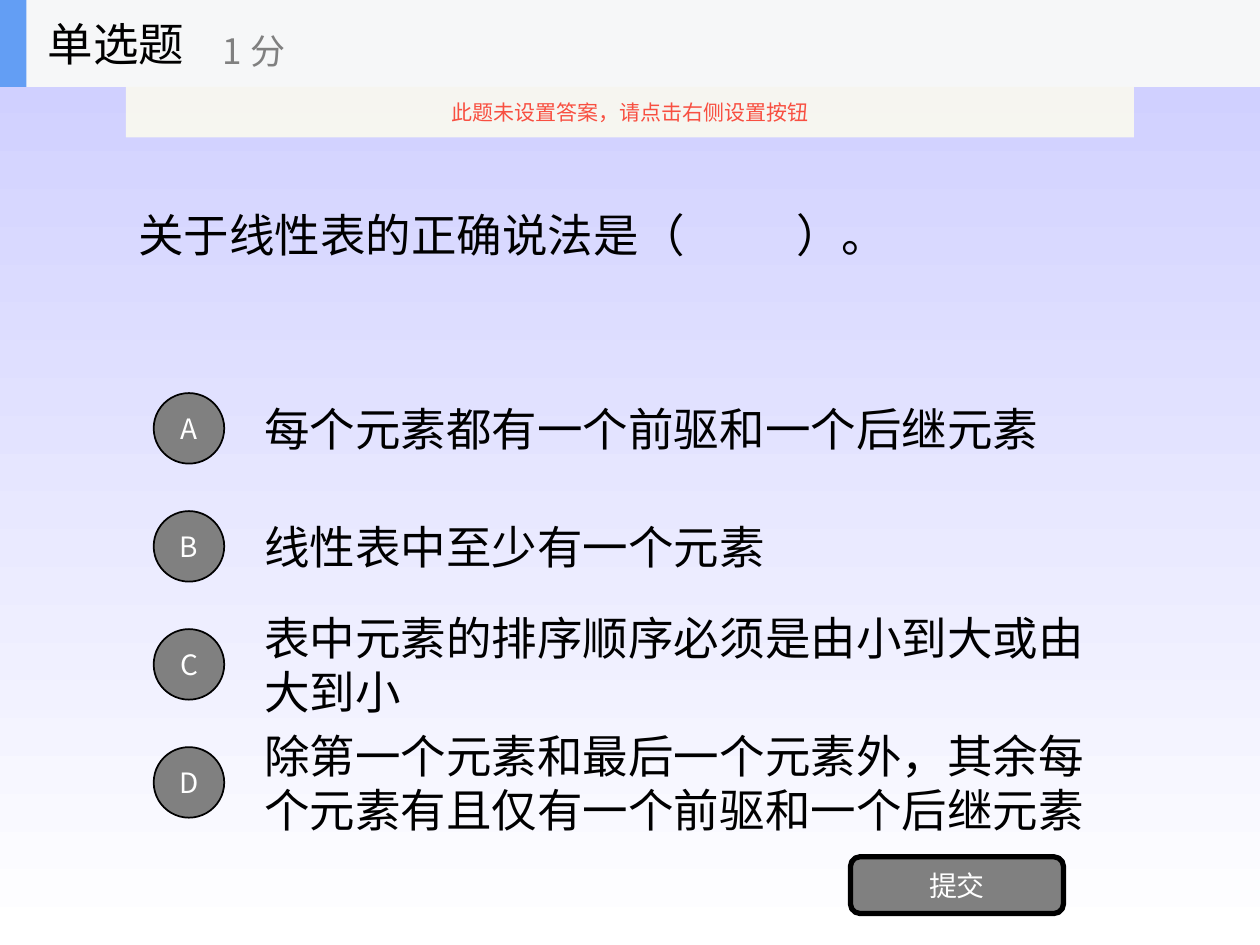
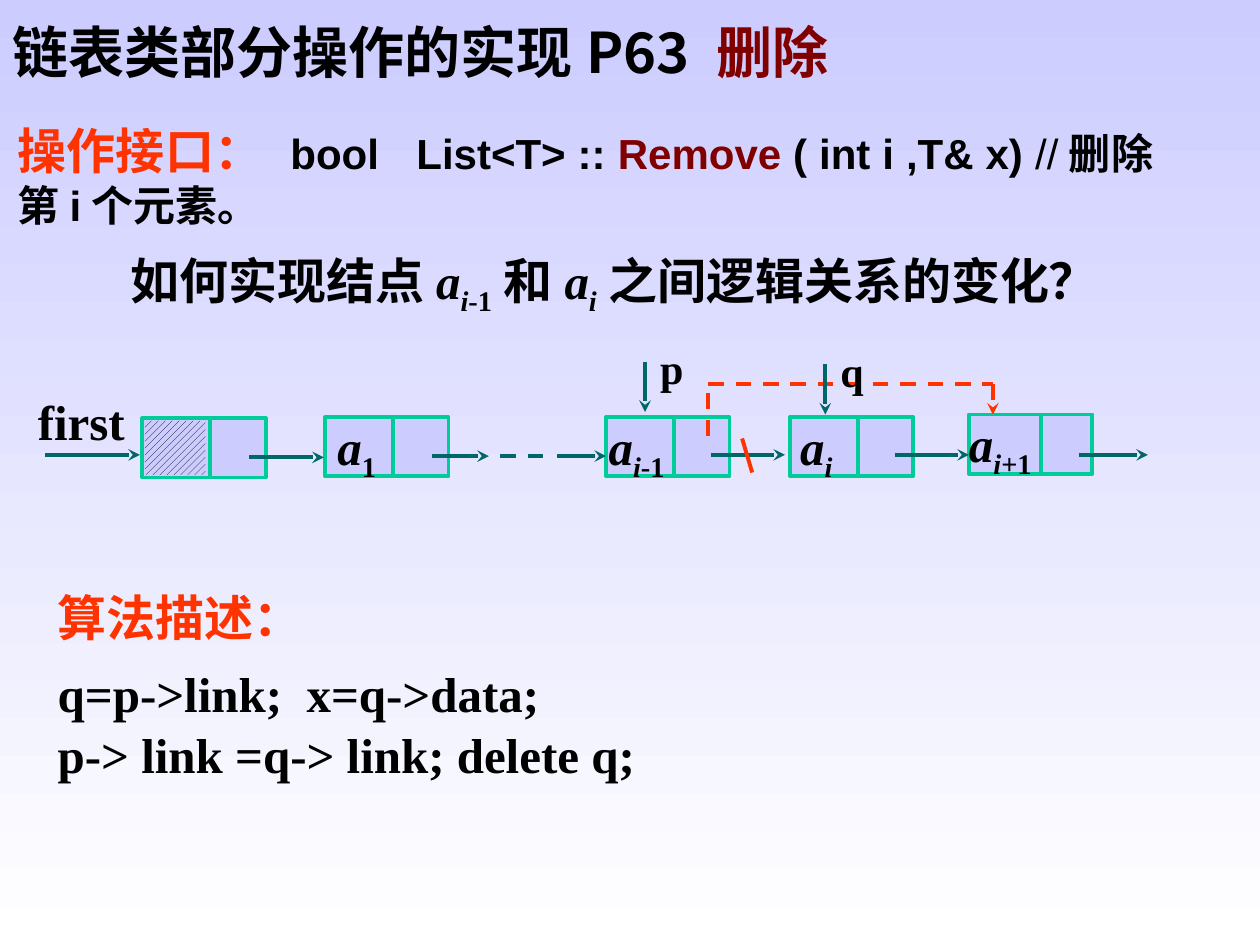
from lxml.etree import SubElement
from pptx import Presentation
from pptx.dml.color import RGBColor
from pptx.enum.dml import MSO_LINE_DASH_STYLE as Dash, MSO_PATTERN_TYPE as Pattern
from pptx.enum.shapes import MSO_CONNECTOR_TYPE as Connector, MSO_SHAPE as Shape
from pptx.enum.text import MSO_ANCHOR as Anchor, MSO_AUTO_SIZE as AutoSize, PP_ALIGN as Align
from pptx.oxml.ns import qn
from pptx.util import Inches, Pt

# Colours and fonts
BLACK = RGBColor(0, 0, 0)
WHITE = RGBColor(0xFF, 0xFF, 0xFF)
GRAY = RGBColor(0x80, 0x80, 0x80)
LAVENDER = RGBColor(0xCC, 0xCC, 0xFF)
HEADER_GRAY = RGBColor(0xF6, 0xF7, 0xF8)
HEADER_BLUE = RGBColor(0x63, 0x9E, 0xF4)
NOTICE_CREAM = RGBColor(0xFB, 0xFA, 0xEF)
NOTICE_RED = RGBColor(0xF8, 0x4F, 0x41)
ORANGE = RGBColor(0xFF, 0x33, 0x00)
MAROON = RGBColor(0x80, 0, 0)
NODE_GREEN = RGBColor(0, 0xCC, 0x99)
ARROW_TEAL = RGBColor(0, 0x66, 0x66)

SANS, SERIF, LATIN = "Noto Sans CJK SC", "Times New Roman", "Arial"

# Text styles
QUIZ = {"name": SANS, "size": Pt(26), "color": BLACK}
BUTTON = {"name": SANS, "size": Pt(16), "color": WHITE}
TITLE = {"name": SANS, "size": Pt(32), "bold": True, "color": BLACK}
BODY = {"name": SERIF, "size": Pt(28), "bold": True, "color": BLACK}
POINTER = {**BODY, "size": Pt(24)}
CODE = {**POINTER, "name": LATIN}
HEADING = {"color": ORANGE}
VARIABLE = {"italic": True}
SUB = {"baseline": -25000}
SUB_VARIABLE = {**VARIABLE, **SUB}
MARGINS = (0.1, 0.05, 0.1, 0.05)

# Linked list measures, in inches
NODE_WIDTH, NODE_HEIGHT = 0.98, 0.47
LINE_WIDTH = 2.25


def new_slide(presentation):
    slide = presentation.slides.add_slide(presentation.slide_layouts[6])
    fill = slide.background.fill
    fill.gradient()
    fill.gradient_angle = 270
    for stop, color, position in zip(fill.gradient_stops, (LAVENDER, WHITE), (0, 1)):
        stop.color.rgb = color
        stop.position = position
    return slide


def format_run(run, style):
    for key, value in style.items():
        if key == "color":
            run.font.color.rgb = value
        elif key == "baseline":
            run._r.get_or_add_rPr().set("baseline", str(value))
        else:
            setattr(run.font, key, value)
    SubElement(run._r.get_or_add_rPr(), qn("a:ea")).set("typeface", SANS)


def add_tab_stops(paragraph, positions):
    tab_list = SubElement(paragraph._p.get_or_add_pPr(), qn("a:tabLst"))
    for position in positions:
        tab = SubElement(tab_list, qn("a:tab"))
        tab.set("pos", str(Inches(position)))
        tab.set("algn", "l")


def write(shape, paragraphs, style, margins=MARGINS, anchor=Anchor.TOP, wrap=True,
          auto_size=AutoSize.NONE, tabs=(), **paragraph_format):
    """Each paragraph is a string or a list of (text, style changes) runs."""
    frame = shape.text_frame
    frame.word_wrap, frame.auto_size, frame.vertical_anchor = wrap, auto_size, anchor
    for side, margin in zip(("left", "top", "right", "bottom"), margins):
        setattr(frame, f"margin_{side}", Inches(margin))
    for index, runs in enumerate(paragraphs):
        paragraph = frame.add_paragraph() if index else frame.paragraphs[0]
        if tabs:
            add_tab_stops(paragraph, tabs)
        for key, value in {"alignment": Align.LEFT, **paragraph_format}.items():
            setattr(paragraph, key, value)
        for text, changes in ([(runs, {})] if isinstance(runs, str) else runs):
            run = paragraph.add_run()
            run.text = text
            format_run(run, {**style, **changes})
    return frame


def add_text(slide, box, paragraphs, style, **options):
    return write(slide.shapes.add_textbox(*map(Inches, box)), paragraphs, style, **options)


def add_shape(slide, kind, box, fill=None, line=None, width=1):
    shape = slide.shapes.add_shape(kind, *map(Inches, box))
    shape.shadow.inherit = False
    if fill is not None:
        shape.fill.solid()
        shape.fill.fore_color.rgb = fill
    if line is None:
        shape.line.fill.background()
    else:
        shape.line.color.rgb = line
        shape.line.width = Pt(width)
    return shape


def add_line(slide, start, end, color, arrow=False, dashed=False):
    connector = slide.shapes.add_connector(Connector.STRAIGHT, *map(Inches, start + end))
    connector.line.color.rgb = color
    connector.line.width = Pt(LINE_WIDTH)
    if dashed:
        connector.line.dash_style = Dash.DASH
    if arrow:
        tail = SubElement(connector.line._get_or_add_ln(), qn("a:tailEnd"))
        tail.set("type", "stealth")
    SubElement(connector._element.spPr, qn("a:effectLst"))


def add_node(slide, left, top, runs=(), text_inset=0.0, divider=0.54):
    node = add_shape(slide, Shape.RECTANGLE, (left, top, NODE_WIDTH, NODE_HEIGHT),
                     LAVENDER, NODE_GREEN, LINE_WIDTH)
    if runs:
        write(node, [runs], BODY, margins=(text_inset, 0, 0, 0.08), line_spacing=0.9)
    middle = left + divider
    add_line(slide, (middle, top), (middle, top + NODE_HEIGHT), NODE_GREEN)


def add_pointer(slide, name, left, top):
    add_line(slide, (left, top), (left, top + 0.4), ARROW_TEAL, arrow=True)
    add_text(slide, (left + 0.12, top - 0.15, 0.27, 0.4), [name], POINTER, margins=(0,) * 4)


def add_option(slide, letter, text, top):
    add_text(slide, (2, top, 7, 0.7), [text], QUIZ, anchor=Anchor.MIDDLE)
    badge = add_shape(slide, Shape.OVAL, (1.22, top + 0.07, 0.56, 0.56), GRAY, BLACK)
    add_button_label(badge, letter)


def add_button_label(shape, label):
    write(shape, [label], BUTTON, anchor=Anchor.MIDDLE, wrap=False, alignment=Align.CENTER)


def add_quiz_header(slide):
    add_shape(slide, Shape.RECTANGLE, (0, 0, 10, 0.69), HEADER_GRAY)
    add_shape(slide, Shape.RECTANGLE, (0, 0, 0.21, 0.69), HEADER_BLUE)
    add_text(slide, (0.28, 0, 2.08, 0.69), ["单选题"], QUIZ, anchor=Anchor.MIDDLE)
    add_text(slide, (1.67, 0.12, 2.5, 0.56), ["1分"],
             {**QUIZ, "size": Pt(20), "color": GRAY}, anchor=Anchor.MIDDLE)
    notice = add_shape(slide, Shape.RECTANGLE, (1, 0.69, 8, 0.4), NOTICE_CREAM)
    color = notice._element.spPr.find(qn("a:solidFill"))[0]
    SubElement(color, qn("a:alpha")).set("val", "90000")
    write(notice, ["此题未设置答案，请点击右侧设置按钮"],
          {"name": SANS, "size": Pt(12), "color": NOTICE_RED},
          anchor=Anchor.MIDDLE, alignment=Align.CENTER)


def build_quiz_slide(presentation):
    slide = new_slide(presentation)
    add_text(slide, (1, 0.69, 8, 2.34), ["关于线性表的正确说法是（\t）。"], QUIZ,
             anchor=Anchor.MIDDLE, tabs=[5.22])
    options = [
        "每个元素都有一个前驱和一个后继元素",
        "线性表中至少有一个元素",
        "表中元素的排序顺序必须是由小到大或由大到小",
        "除第一个元素和最后一个元素外，其余每个元素有且仅有一个前驱和一个后继元素",
    ]
    pitch = 2.81 / 3
    for index, (letter, text) in enumerate(zip("ABCD", options)):
        add_option(slide, letter, text, 3.05 + index * pitch)
    submit = add_shape(slide, Shape.ROUNDED_RECTANGLE, (6.75, 6.8, 1.69, 0.45),
                       GRAY, BLACK, width=3)
    add_button_label(submit, "提交")
    add_quiz_header(slide)


def add_linked_list(slide):
    # Head pointer and nodes
    add_text(slide, (0.3, 3.11, 0.9, 0.51), ["first"], BODY, margins=(0, 0, 0, 0.04))
    add_node(slide, 1.13, 3.32)
    hatch = add_shape(slide, Shape.RECTANGLE, (1.15, 3.34, 0.48, 0.43))
    hatch.fill.patterned()
    hatch.fill.pattern = Pattern.WIDE_UPWARD_DIAGONAL
    hatch.fill.fore_color.rgb = BLACK
    hatch.fill.back_color.rgb = LAVENDER
    a, i = ("a", VARIABLE), ("i", SUB_VARIABLE)
    add_node(slide, 2.58, 3.31, [a, ("1", SUB)], text_inset=0.1)
    add_node(slide, 4.81, 3.31, [a, i, ("-1", SUB)], text_inset=0.02)
    add_node(slide, 6.27, 3.31, [a, i], text_inset=0.08)
    add_node(slide, 7.69, 3.29, [a, i, ("+1", SUB)], divider=0.57)

    # Links between nodes
    links = [(0.36, 1.11, 3.61), (1.98, 2.57, 3.63), (3.43, 3.88, 3.62), (4.42, 4.81, 3.62),
             (5.64, 6.23, 3.61), (7.1, 7.69, 3.61), (8.56, 9.11, 3.61)]
    for start, end, height in links:
        add_line(slide, (start, height), (end, height), ARROW_TEAL, arrow=True)
    add_line(slide, (3.97, 3.62), (4.31, 3.62), ARROW_TEAL, dashed=True)

    # New link that bypasses the removed node
    corners = [(5.62, 3.46), (5.62, 3.05), (7.88, 3.05), (7.88, 3.29)]
    for start, end in zip(corners, corners[1:]):
        add_line(slide, start, end, ORANGE, arrow=end == corners[-1], dashed=True)
    add_line(slide, (5.97, 3.75), (5.89, 3.48), ORANGE)

    add_pointer(slide, "p", 5.12, 2.87)
    add_pointer(slide, "q", 6.55, 2.89)


def build_remove_slide(presentation):
    slide = new_slide(presentation)
    add_text(slide, (0, 0.09, 10, 0.63),
             [[("链表类部分操作的实现P63 ", {}), ("删除", {"color": MAROON})]],
             TITLE, anchor=Anchor.MIDDLE)
    # Interface and question
    add_text(slide, (0.04, 0.91, 9.21, 0.97),
             [[("操作接口：\t", {**BODY, **HEADING}), ("bool\tList<T> :: ", {}),
               ("Remove", {"color": MAROON}), (" ( int i ,T& x)", {}),
               (" //", {"bold": False}), ("删除第i个元素。", {})]],
             CODE, tabs=[2.15, 3.15], alignment=Align.JUSTIFY)
    a, i = ("a", VARIABLE), ("i", SUB_VARIABLE)
    add_text(slide, (0.94, 1.94, 7.6, 0.57),
             [[("如何实现结点", {}), a, i, ("-1", SUB), ("和", {}), a, i,
               ("之间逻辑关系的变化？", {})]],
             BODY, wrap=False, auto_size=AutoSize.SHAPE_TO_FIT_TEXT)
    add_linked_list(slide)
    # Algorithm
    algorithm = add_text(slide, (0.36, 4.61, 5.57, 1.74),
                         [[("算法描述：", HEADING)], "q=p->link;  x=q->data;",
                          "p-> link =q-> link; delete q;"],
                         BODY, alignment=Align.JUSTIFY)
    for paragraph, space in zip(algorithm.paragraphs[1:], (10, 1.5)):
        paragraph.space_before = Pt(space)


def main():
    presentation = Presentation()
    presentation.slide_width, presentation.slide_height = Inches(10), Inches(7.5)
    build_quiz_slide(presentation)
    build_remove_slide(presentation)
    presentation.save("out.pptx")


if __name__ == "__main__":
    main()
